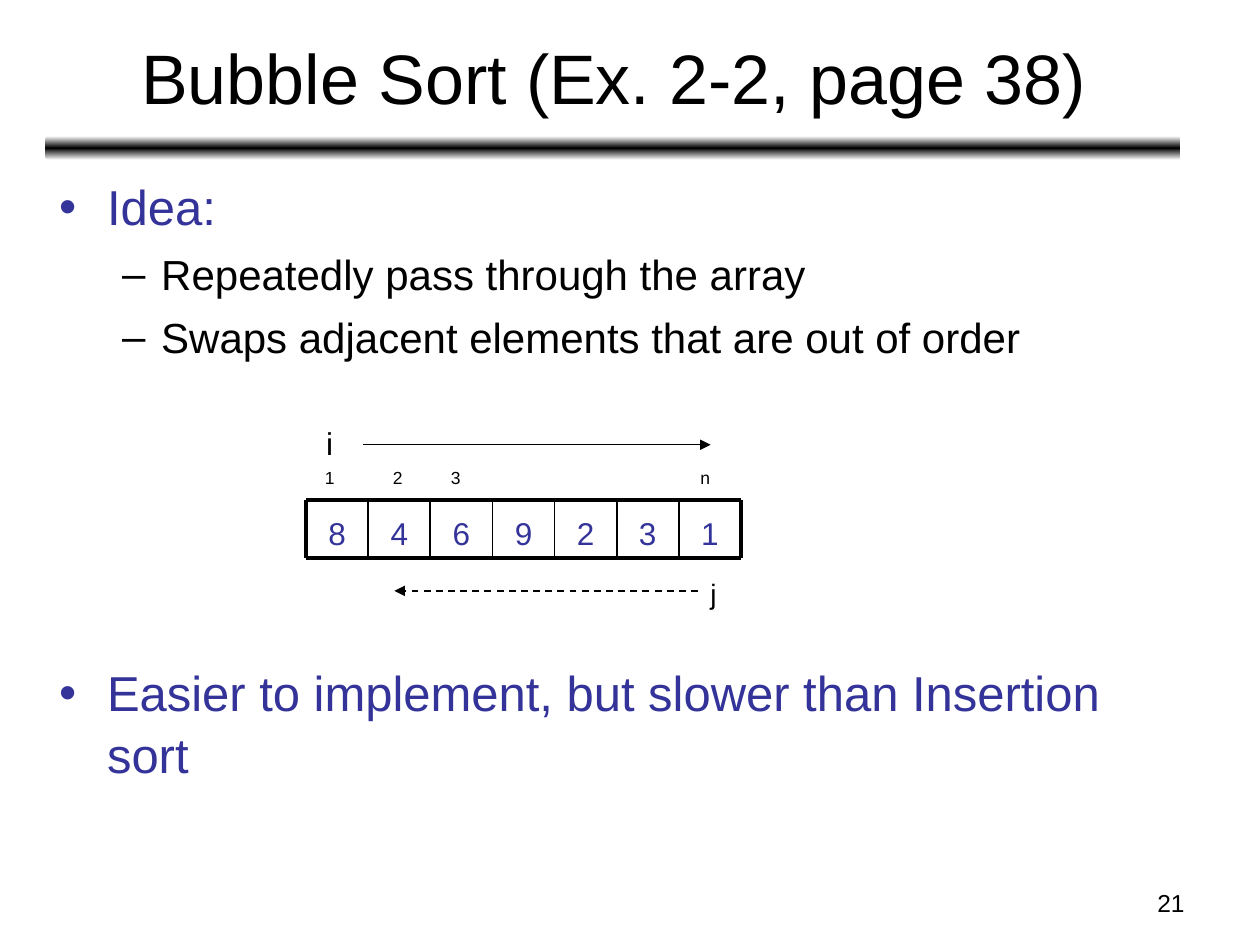
from copy import deepcopy
from dataclasses import dataclass

from lxml import etree
from pptx import Presentation
from pptx import util as u
from pptx.dml import color
from pptx.enum import dml, shapes, text
from pptx.oxml import ns


@dataclass(frozen=True)
class Theme:
    font: str = "Arial"
    black: str = "000000"
    white: str = "FFFFFF"
    blue: str = "333399"
    title: int = 40
    idea: int = 28
    detail: int = 24
    value: int = 18
    label: int = 16
    number: int = 14
    index: int = 10
    thin: float = 1
    thick: float = 2.25


THEME = Theme()
VALUES = "8469231"


def rgb(value):
    return color.RGBColor.from_string(value)


def set_all(target, values):
    for name, value in values.items():
        setattr(target, name, value)


def add_xml(parent, tag, **attributes):
    return etree.SubElement(parent, ns.qn(tag), attributes)


def write(para, words, size, ink=THEME.black, **layout):
    """Put one formatted run in a paragraph."""
    set_all(para, layout)
    span = para.add_run()
    span.text = words
    set_all(span.font, {"name": THEME.font, "size": u.Pt(size)})
    span.font.color.rgb = rgb(ink)


def add_frame(page, left, top, width, height, **settings):
    box = page.shapes.add_textbox(*map(u.Inches, (left, top, width, height)))
    set_all(box.text_frame, {"word_wrap": True, **settings})
    return box.text_frame


def add_bullet(para, mark, ink, left, hang):
    properties = para._p.get_or_add_pPr()
    properties.set("marL", str(u.Inches(left)))
    properties.set("indent", str(-u.Inches(hang)))
    add_xml(add_xml(properties, "a:buClr"), "a:srgbClr", val=ink)
    add_xml(properties, "a:buFont", typeface=THEME.font)
    add_xml(properties, "a:buChar", char=mark)


def add_line(page, start, end, weight, dash=None, arrow=False):
    line = page.shapes.add_connector(
        shapes.MSO_CONNECTOR.STRAIGHT, *map(u.Inches, (*start, *end)))
    line.line.color.rgb = rgb(THEME.black)
    set_all(line.line, {"width": u.Pt(weight), "dash_style": dash})
    if arrow:
        add_xml(line.line._get_or_add_ln(), "a:tailEnd", type="triangle")
    add_xml(line._element.spPr, "a:effectLst")


def add_rule(page):
    """Bar that fades from black to white above and below."""
    bar = page.shapes.add_shape(
        shapes.MSO_SHAPE.ROUNDED_RECTANGLE,
        *map(u.Inches, (0.36, 1.08, 9.01, 0.19)))
    bar.shadow.inherit = False
    bar.line.fill.background()
    bar.fill.gradient()
    bar.fill.gradient_angle = 90
    stops = bar._element.spPr.find(".//" + ns.qn("a:gsLst"))
    stops.append(deepcopy(stops[0]))
    inks = (THEME.white, THEME.black, THEME.white)
    for stop, position, ink in zip(bar.fill.gradient_stops, (0, 0.5, 1), inks):
        stop.position = position
        stop.color.rgb = rgb(ink)


def add_body(page):
    frame = add_frame(page, 0.38, 1.33, 9, 5.55, margin_left=u.Inches(0.09))
    idea = ("•", THEME.idea, THEME.blue, 0.38, 0.38)
    detail = ("–", THEME.detail, THEME.black, 0.81, 0.31)
    # The wide gap before the last point leaves room for the array
    points = [
        ("Idea:", idea, 7),
        ("Repeatedly pass through the array", detail, 6),
        ("Swaps adjacent elements that are out of order", detail, 6),
        ("Easier to implement, but slower than Insertion sort", idea, 170),
    ]
    for order, (words, kind, gap) in enumerate(points):
        mark, size, ink, left, hang = kind
        para = frame.add_paragraph() if order else frame.paragraphs[0]
        write(para, words, size, ink, line_spacing=1.05,
              space_before=u.Pt(gap), level=int(kind is detail))
        add_bullet(para, mark, ink, left, hang)


def add_array(page):
    left, right, top, bottom = 2.43, 5.88, 3.97, 4.43
    count = len(VALUES)
    cell = (right - left) / count
    for order, value in enumerate(VALUES):
        frame = add_frame(page, left + order * cell, top, cell, bottom - top,
                          vertical_anchor=text.MSO_ANCHOR.BOTTOM)
        write(frame.paragraphs[0], value, THEME.value, THEME.blue,
              alignment=text.PP_ALIGN.CENTER)
    for y in (top, bottom):
        add_line(page, (left, y), (right, y), THEME.thick)
    for order in range(count + 1):
        x = left + order * cell
        weight = THEME.thick if order in (0, count) else THEME.thin
        add_line(page, (x, top), (x, bottom), weight)


def add_labels(page):
    for words, left in (("1", 2.48), ("2", 3.02), ("3", 3.48), ("n", 5.46)):
        frame = add_frame(page, left, 3.66, 0.25, 0.27)
        write(frame.paragraphs[0], words, THEME.index)
    for words, left, top, height, size in (
            ("i", 2.49, 3.32, 0.4, THEME.value),
            ("j", 5.54, 4.53, 0.37, THEME.label)):
        frame = add_frame(page, left, top, 0.25, height, word_wrap=False)
        write(frame.paragraphs[0], words, size)


def main():
    deck = Presentation()
    set_all(deck, {"slide_width": u.Inches(10), "slide_height": u.Inches(7.5)})
    page = deck.slides.add_slide(deck.slide_layouts[6])

    # Heading, rule and page number
    add_rule(page)
    number = add_frame(page, 7.17, 7, 2.33, 0.35)
    write(number.paragraphs[0], "21", THEME.number,
          alignment=text.PP_ALIGN.RIGHT)
    title = add_frame(page, 0.37, 0.11, 9, 0.99,
                      vertical_anchor=text.MSO_ANCHOR.MIDDLE)
    write(title.paragraphs[0], "Bubble Sort (Ex. 2-2, page 38)", THEME.title,
          alignment=text.PP_ALIGN.CENTER)

    # Points
    add_body(page)

    # Array with its two running indices
    add_labels(page)
    add_array(page)
    add_line(page, (2.88, 3.53), (5.64, 3.53), 0.75, arrow=True)
    add_line(page, (5.54, 4.69), (3.13, 4.69), THEME.thin,
             dash=dml.MSO_LINE.DASH, arrow=True)

    deck.save("out.pptx")


if __name__ == "__main__":
    main()
